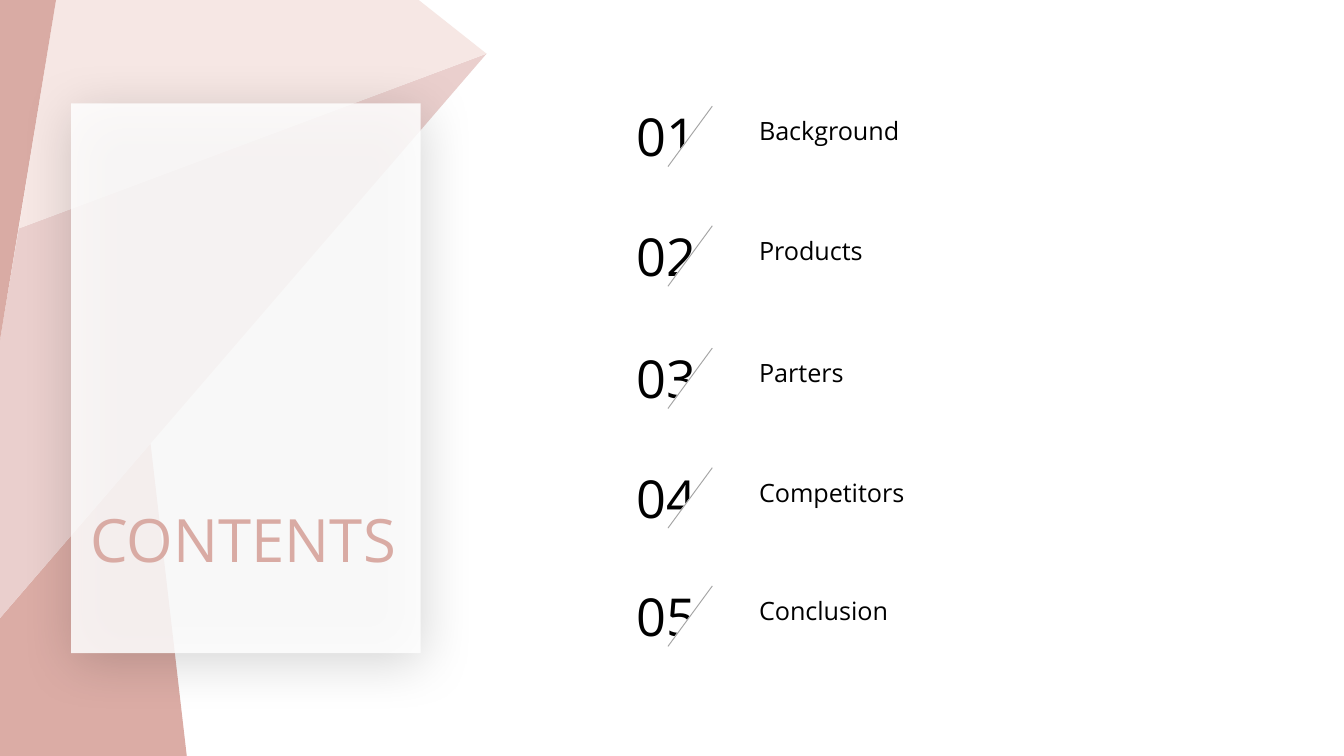
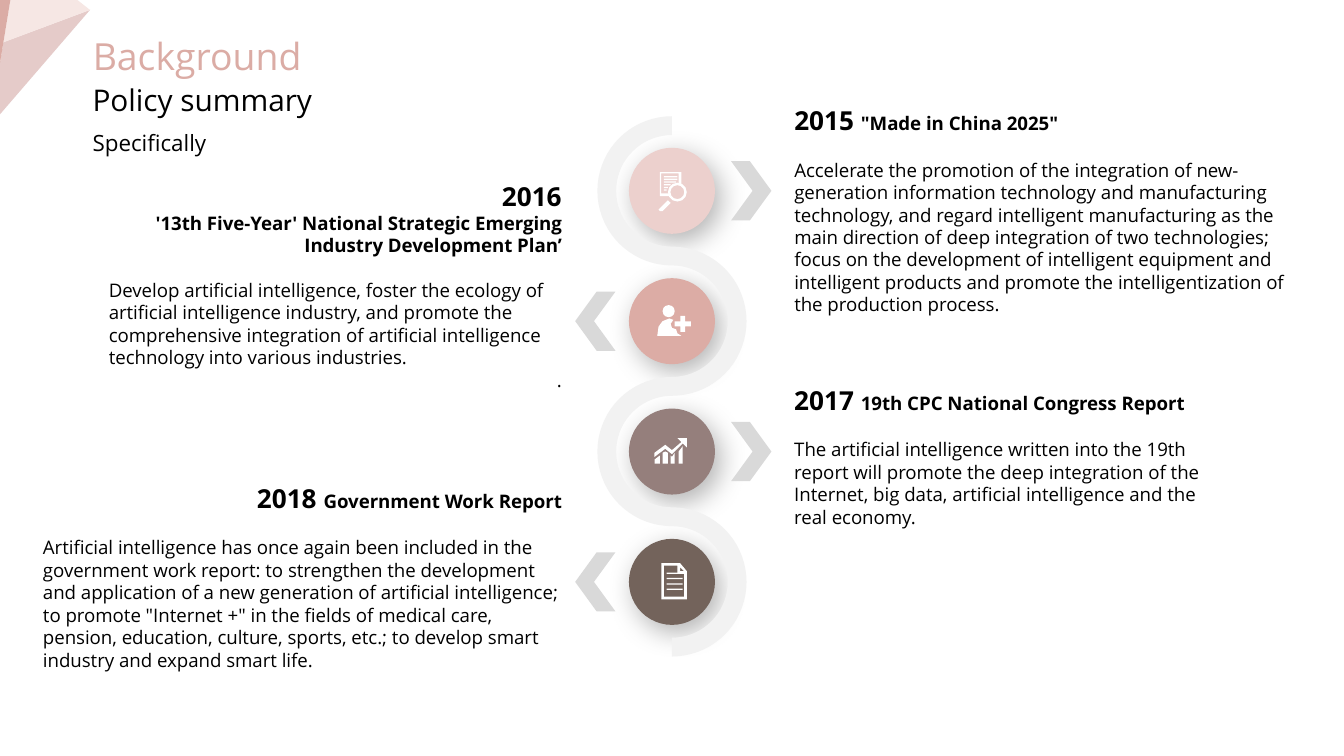
import math
import lxml.etree
import pptx
import pptx.dml.color
import pptx.enum.shapes
import pptx.enum.text
import pptx.oxml.ns
import pptx.util

Inches = pptx.util.Inches
Pt = pptx.util.Pt
SHAPE = pptx.enum.shapes.MSO_SHAPE
ALIGN = pptx.enum.text.PP_ALIGN
FONT = "Open Sans"
COLORS = {
    "rose": "DBACA5",
    "rose_edge": "D9ABA4",
    "pink": "EACFCD",
    "pink_corner": "E5CBC9",
    "blush": "F6E7E4",
    "circle_pink": "ECD0CD",
    "circle_rose": "DCACA5",
    "circle_mauve": "957F7C",
    "circle_brown": "73635B",
    "ribbon": "F2F2F2",
    "arrow": "D9D9D9",
    "slash": "A5A5A5",
    "white": "FFFFFF",
    "black": "000000",
}
FACETS = [
    [(3.62, 0.4), (0.14, 1.7), (0, 2.53), (0, 4.6)],
    [(3.62, 0.4), (3.09, -0.02), (0.42, -0.02), (0.14, 1.7)],
    [(0.42, -0.02), (0, -0.02), (0, 2.53)],
]


def write(frame, text, size=10, color="black", bold=False, align=ALIGN.LEFT,
          before=0, same_line=False, wrap=True, margins=(0.1, 0.05)):
    frame.word_wrap = wrap
    frame.auto_size = pptx.enum.text.MSO_AUTO_SIZE.SHAPE_TO_FIT_TEXT
    frame.vertical_anchor = pptx.enum.text.MSO_ANCHOR.TOP
    frame.margin_left = frame.margin_right = Inches(margins[0])
    frame.margin_top = frame.margin_bottom = Inches(margins[1])
    paragraph = frame.paragraphs[-1]
    if paragraph.runs and not same_line:
        paragraph = frame.add_paragraph()
    if not same_line:
        paragraph.alignment = align
        paragraph.space_before = Pt(before)
    run = paragraph.add_run()
    run.text = text
    run.font.name = FONT
    run.font.size = Pt(size)
    run.font.bold = bold
    run.font.color.rgb = pptx.dml.color.RGBColor.from_string(COLORS[color])


def draw(slide, kind, geometry, color, shadow=None):
    if kind == "polygon":
        contours = [[(Inches(x), Inches(y)) for x, y in points] for points in geometry]
        builder = slide.shapes.build_freeform(*contours[0][0], scale=1.0)
        builder.add_line_segments(contours[0][1:], close=True)
        for points in contours[1:]:
            builder.move_to(*points[0])
            builder.add_line_segments(points[1:], close=True)
        shape = builder.convert_to_shape()
    else:
        shape = slide.shapes.add_shape(kind, *map(Inches, geometry))
    shape.fill.solid()
    shape.fill.fore_color.rgb = pptx.dml.color.RGBColor.from_string(COLORS[color])
    shape.line.fill.background()
    shape.shadow.inherit = False
    if shadow:
        opacity, blur, distance, direction = shadow
        effects = shape.element.spPr.find(pptx.oxml.ns.qn("a:effectLst"))
        outer = lxml.etree.SubElement(
            effects, pptx.oxml.ns.qn("a:outerShdw"), blurRad=str(Pt(blur)),
            dist=str(Pt(distance)), dir=str(direction * 60000), algn="ctr", rotWithShape="0")
        tint = lxml.etree.SubElement(outer, pptx.oxml.ns.qn("a:srgbClr"), val=COLORS["black"])
        lxml.etree.SubElement(tint, pptx.oxml.ns.qn("a:alpha"), val=str(opacity * 1000))
    return shape


presentation = pptx.Presentation()
presentation.slide_width = Inches(10)
presentation.slide_height = presentation.slide_width * 9 // 16
title_layout = presentation.slide_layouts[5]

contents = presentation.slides.add_slide(title_layout)
draw(contents, "polygon", [[(1.12, 3.3), (1.39, 5.63), (0, 5.63), (0, 4.6)]], "rose")
for facet, color in zip(FACETS, ("pink", "blush", "rose_edge")):
    draw(contents, "polygon", [facet], color)
card = draw(contents, SHAPE.RECTANGLE, (0.53, 0.77, 2.6, 4.09), "white", shadow=(20, 29, 5, 77))
card_color = next(card.element.spPr.iter(pptx.oxml.ns.qn("a:srgbClr")))
lxml.etree.SubElement(card_color, pptx.oxml.ns.qn("a:alpha"), val="85000")

title = contents.shapes.title
title.left, title.top, title.width, title.height = map(Inches, (0.6, 3.69, 2.42, 0.64))
write(title.text_frame, "CONTENTS", size=32, color="rose_edge", align=ALIGN.CENTER, margins=(0, 0.05))
card.element.getparent().append(title.element)

sections = [
    ("Background", 0.73, 1.34),
    ("Products", 1.62, 1.05),
    ("Parters", 2.53, 0.89),
    ("Competitors", 3.42, 1.38),
    ("Conclusion", 4.3, 1.26),
]
for number, (name, top, width) in enumerate(sections, 1):
    number_box = contents.shapes.add_textbox(Inches(4.64), Inches(top), Inches(0.66), Inches(0.57))
    write(number_box.text_frame, f"{number:02}", size=28, wrap=False)
    name_box = contents.shapes.add_textbox(Inches(5.55), Inches(top + 0.08), Inches(width), Inches(0.33))
    write(name_box.text_frame, name, size=13.5, wrap=False)
    mask = draw(contents, SHAPE.RIGHT_TRIANGLE, (4.91, top + 0.11, 0.45, 0.34), "white")
    mask.rotation = 270
    slash = contents.shapes.add_connector(
        pptx.enum.shapes.MSO_CONNECTOR.STRAIGHT,
        Inches(5.3), Inches(top + 0.06), Inches(4.97), Inches(top + 0.51))
    slash.line.width = Pt(0.5)
    slash.line.color.rgb = pptx.dml.color.RGBColor.from_string(COLORS["slash"])
    lxml.etree.SubElement(slash.element.spPr, pptx.oxml.ns.qn("a:effectLst"))

background = presentation.slides.add_slide(title_layout)
centers = [1.42 + 0.97 * index for index in range(4)]
circle_colors = ("circle_pink", "circle_rose", "circle_mauve", "circle_brown")
for center, color in zip(centers, circle_colors):
    draw(background, SHAPE.OVAL, (4.68, center - 0.32, 0.64, 0.64), color, shadow=(30, 15, 5, 55))

edges = []
for edge in (1, -1):
    points = []
    for index, center in enumerate(centers):
        side = (-1) ** index
        radius = 0.97 / 2 + edge * side * 0.07
        for degrees in range(0, 181, 5):
            angle = math.radians(degrees)
            points.append((5 - side * radius * math.sin(angle), center - radius * math.cos(angle)))
    edges.append(points)
draw(background, "polygon", [edges[0] + edges[1][::-1]], "ribbon")

chevron = [(0.43, -0.22), (0.59, 0), (0.43, 0.22), (0.57, 0.22), (0.73, 0), (0.57, -0.22)]
for index, center in enumerate(centers):
    side = (-1) ** index
    draw(background, "polygon", [[(5.01 + side * x, center + y) for x, y in chevron]], "arrow")

page_frame = [(4.99, 1.46), (4.91, 1.46), (4.91, 1.28), (5.07, 1.28), (5.07, 1.38),
              (5.05, 1.37), (5.05, 1.29), (4.92, 1.29), (4.92, 1.44), (4.99, 1.44)]
lens_handle = [(4.97, 1.49), (4.99, 1.51), (4.93, 1.57), (4.91, 1.57), (4.9, 1.56)]
shoulders = [(4.89, 2.5), (4.9, 2.43), (4.93, 2.39), (4.98, 2.37), (5.01, 2.38),
             (4.99, 2.41), (5, 2.44), (5.03, 2.45), (5.04, 2.48), (5.07, 2.5)]
bars = [
    [(4.87, 3.45), (4.91, 3.45), (4.91, 3.39), (4.87, 3.42)],
    [(4.93, 3.37), (4.93, 3.45), (4.97, 3.45), (4.97, 3.37), (4.95, 3.36)],
    [(4.99, 3.39), (4.99, 3.45), (5.02, 3.45), (5.02, 3.37), (5, 3.4)],
    [(5.05, 3.36), (5.05, 3.45), (5.08, 3.45), (5.08, 3.32)],
]
trend = [(5.11, 3.26), (5.04, 3.26), (5.07, 3.29), (5, 3.35), (4.95, 3.31), (4.87, 3.37),
         (4.87, 3.4), (4.95, 3.34), (5, 3.38), (5.08, 3.3), (5.11, 3.33)]
document = [
    [(5.11, 4.25), (5.06, 4.19), (4.92, 4.19), (4.92, 4.46), (5.11, 4.46)],
    [(5.09, 4.25), (5.06, 4.25), (5.06, 4.22)],
    [(5.09, 4.44), (4.94, 4.44), (4.94, 4.21), (5.04, 4.21), (5.04, 4.27), (5.09, 4.27)],
]
for icon in ([page_frame], [lens_handle], [shoulders], bars, [trend], document):
    draw(background, "polygon", icon, "white")
lens = draw(background, SHAPE.DONUT, (4.97, 1.36, 0.14, 0.14), "white")
lens.adjustments[0] = 0.13
draw(background, SHAPE.OVAL, (4.93, 2.27, 0.09, 0.09), "white")
plus = draw(background, SHAPE.CROSS, (5.02, 2.35, 0.12, 0.12), "white")
plus.adjustments[0] = 0.35
for index, width in enumerate((0.1, 0.1, 0.09, 0.05, 0.03, 0.02)):
    draw(background, SHAPE.RECTANGLE, (4.94, 1.31 + 0.02 * index, width, 0.01), "white")
for index in range(4):
    draw(background, SHAPE.RECTANGLE, (4.96, 4.26 + 0.04 * index, 0.12, 0.01), "white")

policies = [
    ((5.91, 0.78, 3.75, 1.58), ALIGN.LEFT, "2015 ", "\"Made in China 2025\"", True,
     "Accelerate the promotion of the integration of new-generation information technology and "
     "manufacturing technology, and regard intelligent manufacturing as the main direction of deep "
     "integration of two technologies; focus on the development of intelligent equipment and "
     "intelligent products and promote the intelligentization of the production process."),
    ((5.91, 2.86, 3.23, 1.08), ALIGN.LEFT, "2017 ", "19th CPC National Congress Report", True,
     "The artificial intelligence written into the 19th report will promote the deep integration of "
     "the Internet, big data, artificial intelligence and the real economy."),
    ((0.81, 1.34, 3.37, 1.58), ALIGN.RIGHT, "2016",
     "'13th Five-Year' National Strategic Emerging Industry Development Plan’", False,
     "Develop artificial intelligence, foster the ecology of artificial intelligence industry, and "
     "promote the comprehensive integration of artificial intelligence technology into various "
     "industries."),
    ((0.32, 3.59, 3.86, 1.41), ALIGN.RIGHT, "2018 ", "Government Work Report", True,
     "Artificial intelligence has once again been included in the government work report: to "
     "strengthen the development and application of a new generation of artificial intelligence; to "
     "promote \"Internet +\" in the fields of medical care, pension, education, culture, sports, "
     "etc.; to develop smart industry and expand smart life."),
]
for box, align, year, heading, same_line, body in policies:
    frame = background.shapes.add_textbox(*map(Inches, box)).text_frame
    write(frame, year, size=14, bold=True, align=align, margins=(0, 0))
    write(frame, heading, bold=True, align=align, same_line=same_line, margins=(0, 0))
    write(frame, body, before=12, margins=(0, 0))
    if year == "2016":
        write(frame, ".", align=align, margins=(0, 0))

corner_scale = 0.67 / 3.62
for facet, color in zip(FACETS, ("pink_corner", "blush", "rose")):
    draw(background, "polygon", [[(x * corner_scale, y * corner_scale) for x, y in facet]], color)

title = background.shapes.title
title.left, title.top, title.width, title.height = map(Inches, (0.59, 0.2, 1.8, 0.44))
write(title.text_frame, "Background", size=20, color="rose", wrap=False)
for text, top, width, height, size in (
    ("Policy summary", 0.56, 1.89, 0.37, 16),
    ("Specifically", 0.91, 2.38, 0.3, 12),
):
    subtitle = background.shapes.add_textbox(Inches(0.59), Inches(top), Inches(width), Inches(height))
    write(subtitle.text_frame, text, size=size)

presentation.save("out.pptx")
